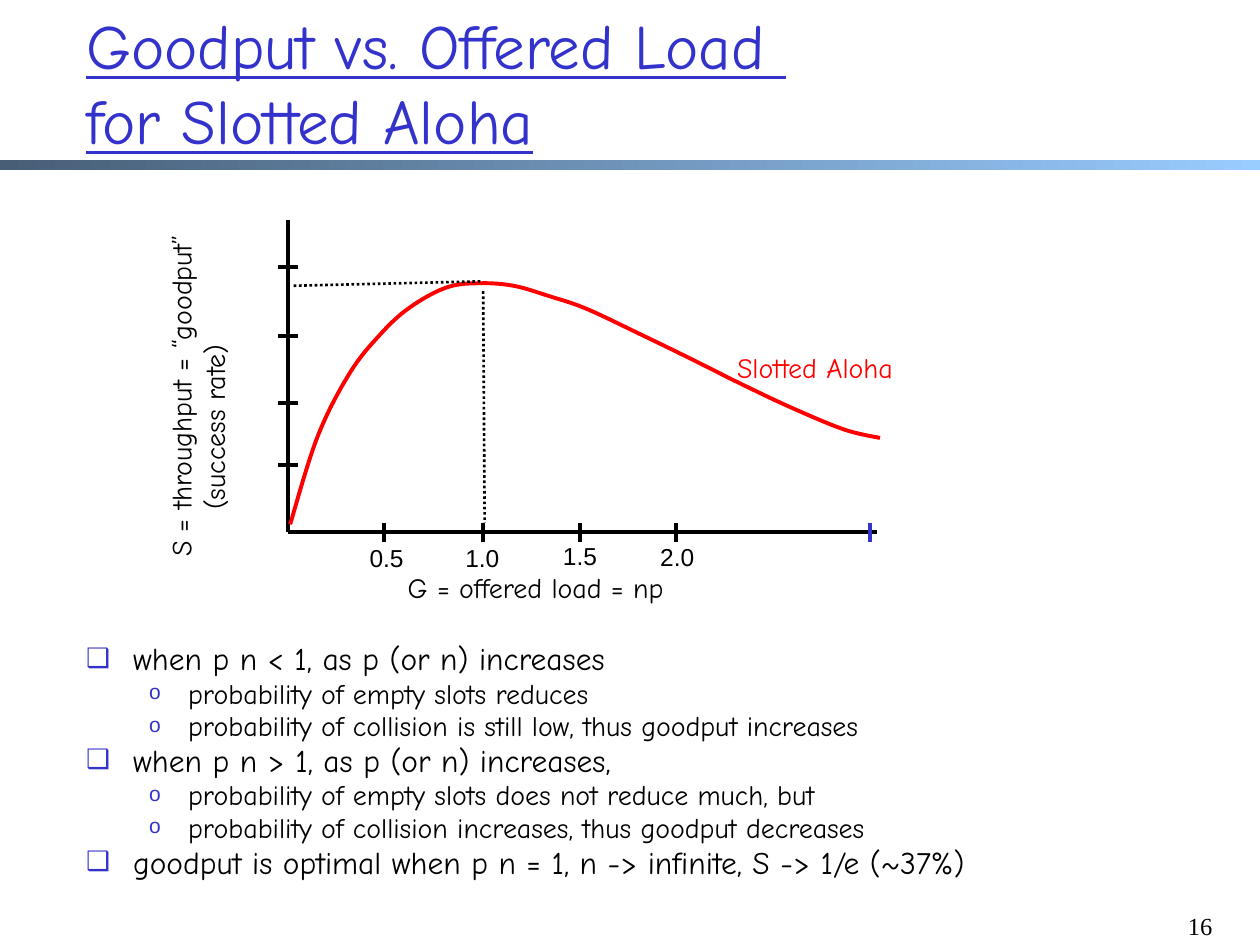
from copy import deepcopy
from dataclasses import dataclass

from lxml import etree
from pptx import Presentation
from pptx.dml.color import RGBColor
from pptx.enum.dml import MSO_LINE
from pptx.enum.shapes import MSO_CONNECTOR, MSO_SHAPE
from pptx.enum.text import MSO_ANCHOR, MSO_AUTO_SIZE, PP_ALIGN
from pptx.oxml.ns import qn
from pptx.util import Cm, Pt

STRAIGHT = MSO_CONNECTOR.STRAIGHT
RECTANGLE = MSO_SHAPE.RECTANGLE
DOTTED = MSO_LINE.ROUND_DOT
MIDDLE, TOP = MSO_ANCHOR.MIDDLE, MSO_ANCHOR.TOP
LEFT, RIGHT = PP_ALIGN.LEFT, PP_ALIGN.RIGHT
NO_FIT, GROW = MSO_AUTO_SIZE.NONE, MSO_AUTO_SIZE.SHAPE_TO_FIT_TEXT


@dataclass(frozen=True)
class Theme:
    ink: str = "000000"
    accent: str = "3333CC"
    curve: str = "FF0000"
    bar_start: str = "475E76"
    bar_end: str = "99CCFF"
    font: str = "Comic Neue"
    tick_font: str = "Arial"
    number_font: str = "Times New Roman"
    title_size: int = 36
    point_size: int = 18
    label_size: int = 16
    small_size: int = 14
    axis_width: float = 2.25
    guide_width: float = 1.5


THEME = Theme()

TITLE = "Goodput vs. Offered Load \vfor Slotted Aloha"
POINTS = [
    (0, "when p n < 1, as p (or n) increases"),
    (1, "probability of empty slots reduces"),
    (1, "probability of collision is still low, thus goodput increases"),
    (0, "when p n > 1, as p (or n) increases,"),
    (1, "probability of empty slots does not reduce much, but"),
    (1, "probability of collision increases, thus goodput decreases"),
    (0, "goodput is optimal when p n = 1, n -> infinite, S -> 1/e (~37%)"),
]
# char, size percent, left margin, first-line indent, text size
BULLETS = [
    ("❑", 85, 0.95, -0.95, THEME.point_size),
    ("o", 75, 2.06, -0.79, THEME.label_size),
]
AXIS_X, AXIS_Y = 5.81, 10.72
# value, tick x, label left, label top
LOAD_TICKS = [
    ("0.5", 7.74, 7.2, 10.82),
    ("1.0", 9.74, 9.13, 10.82),
    ("1.5", 11.69, 11.1, 10.78),
    ("2.0", 13.62, 13.06, 10.8),
]
LOAD_END = 17.53
GOODPUT_TICKS = [5.39, 6.78, 8.13, 9.38]
CURVE = [
    (5.85, 10.57), (6.4, 8.81), (7.04, 7.54), (7.65, 6.76), (8.26, 6.2),
    (9.02, 5.79), (9.73, 5.71), (10.39, 5.77), (11.07, 5.97), (11.81, 6.22),
    (12.85, 6.71), (13.94, 7.24), (14.96, 7.75), (15.98, 8.23),
    (17.02, 8.66), (17.74, 8.83),
]


def rgb(value):
    return RGBColor.from_string(value)


def write(paragraph, text, *, size, color=THEME.ink, font=THEME.font,
          underline=None, align=LEFT):
    paragraph.text = text
    paragraph.alignment = align
    for run in paragraph.runs:
        run.font.size = Pt(size)
        run.font.name = font
        run.font.color.rgb = rgb(color)
        run.font.underline = underline
    for line_break in paragraph._p.findall(qn("a:br")):
        line_break.append(deepcopy(paragraph.runs[0]._r.rPr))


def place(shape, left, top, width, height):
    shape.left, shape.top = Cm(left), Cm(top)
    shape.width, shape.height = Cm(width), Cm(height)


def add_label(slide, text, box, wrap=False, **style):
    label = slide.shapes.add_textbox(*map(Cm, box))
    frame = label.text_frame
    frame.word_wrap = wrap
    frame.auto_size = NO_FIT if wrap else GROW
    write(frame.paragraphs[0], text, **style)
    return label


def add_line(slide, start, end, color=THEME.ink, width=THEME.axis_width,
             dash=None):
    line = slide.shapes.add_connector(STRAIGHT, *map(Cm, (*start, *end)))
    line.line.color.rgb = rgb(color)
    line.line.width = Pt(width)
    if dash is not None:
        line.line.dash_style = dash
    etree.SubElement(line._element.spPr, qn("a:effectLst"))


def add_title(slide):
    title = slide.shapes.title
    place(title, 1.48, 0.06, 22.3, 3.18)
    title.text_frame.auto_size = NO_FIT
    title.text_frame.vertical_anchor = MIDDLE
    write(title.text_frame.paragraphs[0], TITLE, size=THEME.title_size,
          color=THEME.accent, underline=True)


def add_title_bar(slide):
    bar = slide.shapes.add_shape(RECTANGLE, *map(Cm, (0, 3.23, 25.4, 0.2)))
    bar.shadow.inherit = False
    bar.line.fill.background()
    bar.fill.gradient()
    bar.fill.gradient_angle = 0
    stops = zip(bar.fill.gradient_stops, (THEME.bar_start, THEME.bar_end))
    for position, (stop, color) in enumerate(stops):
        stop.position = position
        stop.color.rgb = rgb(color)


def set_indent(paragraph, margin, first_line=0):
    properties = paragraph._p.get_or_add_pPr()
    properties.set("marL", str(Cm(margin)))
    properties.set("indent", str(Cm(first_line)))
    return properties


def add_points(slide):
    body = slide.placeholders[1]
    place(body, 1.48, 12.91, 22.63, 5.72)
    frame = body.text_frame
    frame.auto_size = NO_FIT
    frame.vertical_anchor = TOP
    for index, (level, text) in enumerate(POINTS):
        char, percent, margin, first_line, size = BULLETS[level]
        point = frame.add_paragraph() if index else frame.paragraphs[0]
        point.level = level
        point.line_spacing = 0.8
        point.space_before = Pt(0.2 * size if index else 0)
        properties = set_indent(point, margin, first_line)
        bullet_color = etree.SubElement(properties, qn("a:buClr"))
        etree.SubElement(bullet_color, qn("a:srgbClr"), val=THEME.accent)
        etree.SubElement(properties, qn("a:buSzPct"), val=str(percent * 1000))
        etree.SubElement(properties, qn("a:buFont"), typeface=THEME.tick_font)
        etree.SubElement(properties, qn("a:buChar"), char=char)
        write(point, text, size=size)


def add_axes(slide):
    add_line(slide, (AXIS_X, AXIS_Y), (17.68, AXIS_Y))
    add_line(slide, (AXIS_X, AXIS_Y), (AXIS_X, 4.43))
    for value, x, label_left, label_top in LOAD_TICKS:
        add_line(slide, (x, 10.54), (x, 10.92))
        add_label(slide, value, (label_left, label_top, 1.19, 0.84),
                  size=THEME.small_size, font=THEME.tick_font)
    add_line(slide, (LOAD_END, 10.54), (LOAD_END, 10.92), color=THEME.accent)
    for y in GOODPUT_TICKS:
        add_line(slide, (AXIS_X - 0.2, y), (AXIS_X + 0.2, y))
    add_label(slide, "G = offered load = np", (7.97, 11.38, 6.07, 0.94),
              size=THEME.label_size)
    goodput = add_label(slide, "S = throughput = “goodput”",
                        (-0.15, 6.52, 8.28, 1.63), wrap=True,
                        size=THEME.label_size)
    goodput.rotation = 270
    success = goodput.text_frame.add_paragraph()
    set_indent(success, 0.95)
    write(success, "(success rate)", size=THEME.label_size)


def bend_segments(outline):
    anchors = [(int(point.get("x")), int(point.get("y")))
               for point in outline.iter(qn("a:pt"))]
    padded = [anchors[0], *anchors, anchors[-1]]
    neighbours = zip(padded, padded[1:], padded[2:], padded[3:])
    for segment, around in zip(outline.findall(qn("a:lnTo")), neighbours):
        bend = etree.Element(qn("a:cubicBezTo"))
        controls = zip(*((b + (c - a) // 6, c - (d - b) // 6, c)
                         for a, b, c, d in zip(*around)))
        for x, y in controls:
            etree.SubElement(bend, qn("a:pt"), x=str(x), y=str(y))
        outline.replace(segment, bend)


def add_curve(slide):
    points = [(Cm(x), Cm(y)) for x, y in CURVE]
    builder = slide.shapes.build_freeform(*points[0])
    builder.add_line_segments(points[1:], close=False)
    curve = builder.convert_to_shape()
    bend_segments(next(curve._element.iter(qn("a:path"))))
    curve.shadow.inherit = False
    curve.fill.background()
    curve.line.color.rgb = rgb(THEME.curve)
    curve.line.width = Pt(THEME.axis_width)
    add_label(slide, "Slotted Aloha", (14.61, 6.94, 4.17, 0.94),
              size=THEME.label_size, color=THEME.curve)
    for start, end in (((9.74, 5.87), (9.77, 10.54)),
                       ((5.92, 5.76), (9.73, 5.67))):
        add_line(slide, start, end, width=THEME.guide_width, dash=DOTTED)


def main():
    deck = Presentation()
    deck.slide_width, deck.slide_height = Cm(25.4), Cm(19.05)
    slide = deck.slides.add_slide(deck.slide_layouts[1])
    add_title_bar(slide)
    add_title(slide)
    add_axes(slide)
    add_curve(slide)
    add_points(slide)
    add_label(slide, "16", (23.5, 18.24, 1.19, 0.81), wrap=True,
              size=THEME.small_size, font=THEME.number_font, align=RIGHT)
    deck.save("out.pptx")


if __name__ == "__main__":
    main()
